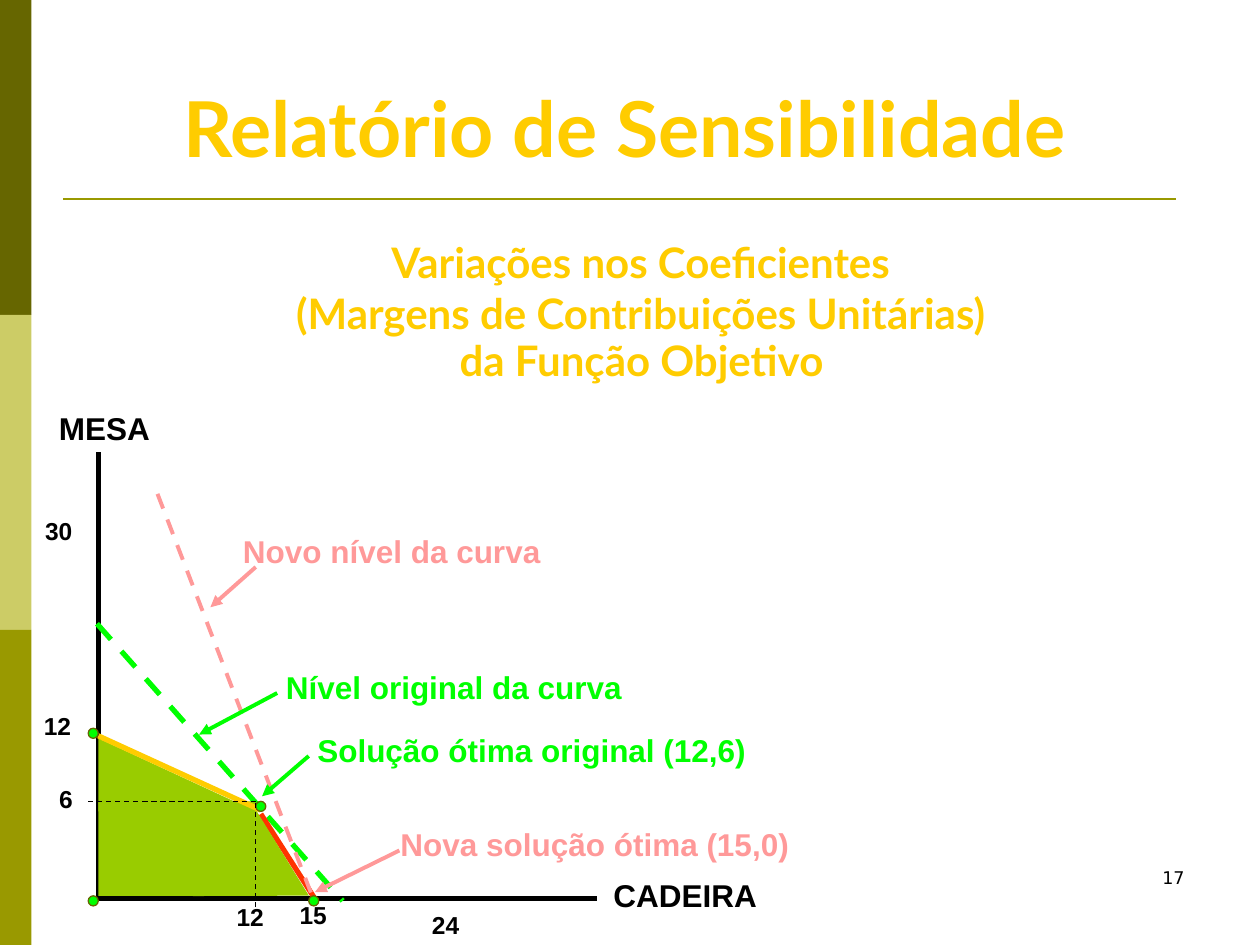
from lxml.etree import SubElement
from pptx import Presentation
from pptx.dml.color import RGBColor
from pptx.enum.dml import MSO_LINE
from pptx.enum.shapes import MSO_CONNECTOR, MSO_SHAPE
from pptx.enum.text import MSO_ANCHOR, MSO_AUTO_SIZE, PP_ALIGN
from pptx.oxml.ns import qn
from pptx.util import Inches, Pt

CELL = Inches(0.1)  # the slide is a grid of 100 columns by 75 rows
COLUMNS, ROWS = 100, 75

GOLD = RGBColor(0xFF, 0xCC, 0x00)
BLACK = RGBColor(0x00, 0x00, 0x00)
GREEN = RGBColor(0x00, 0xFF, 0x00)
PINK = RGBColor(0xFF, 0x99, 0x99)
RED = RGBColor(0xFF, 0x33, 0x00)
REGION = RGBColor(0x99, 0xCC, 0x00)
DARK_OLIVE = RGBColor(0x66, 0x66, 0x00)
PALE_OLIVE = RGBColor(0xCC, 0xCC, 0x66)
OLIVE = RGBColor(0x99, 0x99, 0x00)

AXIS_X, AXIS_Y = 7.8, 71.3
OPTIMUM_X, OPTIMUM_Y = 20.3, 63.6


def grid(*cells):
    return [round(CELL * cell) for cell in cells]


def set_format(target, values):
    for name, value in values.items():
        setattr(target, name, value)


def write_run(paragraph, text, size, color, font="Arial", bold=True):
    run = paragraph.add_run()
    run.text = text
    set_format(run.font, {"name": font, "size": Pt(size), "bold": bold})
    run.font.color.rgb = color


def add_label(slide, text, left, top, width, size, color):
    height = 4 if size == 18 else 3.4
    frame = slide.shapes.add_textbox(*grid(left, top, width, height)).text_frame
    set_format(frame, {"word_wrap": False,
                       "auto_size": MSO_AUTO_SIZE.SHAPE_TO_FIT_TEXT})
    write_run(frame.paragraphs[0], text, size, color)


def add_area(slide, preset, left, top, width, height, fill, outline=None):
    area = slide.shapes.add_shape(preset, *grid(left, top, width, height))
    area.shadow.inherit = False
    area.fill.solid()
    area.fill.fore_color.rgb = fill
    if outline is None:
        area.line.fill.background()
    else:
        area.line.color.rgb = outline
        area.line.width = Pt(0.75)
    return area


def add_segment(slide, start, end, color, width, dashed=False, arrow=False):
    segment = slide.shapes.add_connector(
        MSO_CONNECTOR.STRAIGHT, *grid(*start, *end))
    segment.line.color.rgb = color
    segment.line.width = Pt(width)
    if dashed:
        segment.line.dash_style = MSO_LINE.DASH
    if arrow:
        SubElement(segment.line._get_or_add_ln(), qn("a:tailEnd"), type="triangle")
    SubElement(segment._element.spPr, qn("a:effectLst"))


def add_background(slide):
    band = ROWS / 3
    for index, color in enumerate((DARK_OLIVE, PALE_OLIVE, OLIVE)):
        add_area(slide, MSO_SHAPE.RECTANGLE, 0, index * band, 2.5, band, color)
    add_segment(slide, (5, 15.8), (93.3, 15.8), OLIVE, 1.5)


def add_headings(slide):
    title = slide.shapes.title
    set_format(title, dict(zip(("left", "top", "width", "height"),
                               grid(2.5, 5, 94.2, 9.2))))
    set_format(title.text_frame, {"vertical_anchor": MSO_ANCHOR.BOTTOM,
                                  "word_wrap": True,
                                  "auto_size": MSO_AUTO_SIZE.NONE})
    heading = title.text_frame.paragraphs[0]
    heading.alignment = PP_ALIGN.CENTER
    write_run(heading, "Relatório de Sensibilidade", 44, GOLD, "Lato")

    frame = slide.shapes.add_textbox(*grid(2.5, 20, 97.5, 14.2)).text_frame
    frame.word_wrap = True
    subtitle = (("Variações nos Coeficientes ", 15),
                ("(Margens de Contribuições Unitárias) ", 15),
                ("da Função Objetivo", 12.5))
    for index, (text, space) in enumerate(subtitle):
        line = frame.add_paragraph() if index else frame.paragraphs[0]
        set_format(line, {"alignment": PP_ALIGN.CENTER, "line_spacing": 0.5,
                          "space_before": Pt(space)})
        indent = Inches(0.32)
        properties = line._p.get_or_add_pPr()
        properties.set("marL", str(indent))
        properties.set("indent", str(-indent))
        write_run(line, text, 24, GOLD, "Lato")
    write_run(line, " ", 20, BLACK, "Lato")


def add_axes(slide):
    add_segment(slide, (AXIS_X, AXIS_Y), (47.4, AXIS_Y), BLACK, 3)
    add_segment(slide, (AXIS_X, 35.9), (AXIS_X, 71.5), BLACK, 3)
    for text, left, top in (
            ("15", 22.8, 70.9), ("12", 17.8, 71.1), ("24", 33.3, 71.7),
            ("12", 2.5, 55.9), ("30", 2.6, 40.5), ("6", 3.7, 61.7)):
        add_label(slide, text, left, top, 2.4 + 1.1 * len(text), 14, BLACK)
    add_label(slide, "CADEIRA", 47.7, 69, 13.8, 18, BLACK)
    add_label(slide, "MESA", 3.7, 32, 9.6, 18, BLACK)


def add_feasible_region(slide):
    add_segment(slide, (7.7, 49.5), (27.2, 71.5), GREEN, 3, dashed=True)
    add_segment(slide, (20.7, 64.6), (25.1, 71.5), RED, 3)
    width = OPTIMUM_X - AXIS_X
    slope = add_area(slide, MSO_SHAPE.ISOSCELES_TRIANGLE,
                     15.3, OPTIMUM_Y, 9.2, 7.5, REGION)
    slope.rotation = 359.8
    add_area(slide, MSO_SHAPE.RECTANGLE, AXIS_X, OPTIMUM_Y, width, 7.5, REGION)
    add_area(slide, MSO_SHAPE.RIGHT_TRIANGLE, AXIS_X, 58.6, width, 5.8, REGION)
    add_segment(slide, (AXIS_X, 58.4), (20.7, 64.3), GOLD, 3)
    for left, top in ((7, 71.1), (7, 57.8), (24.5, 71.1), (OPTIMUM_X, OPTIMUM_Y)):
        add_area(slide, MSO_SHAPE.OVAL, left, top, 0.8, 0.8, GREEN, DARK_OLIVE)
    for end in ((7, OPTIMUM_Y), (OPTIMUM_X, 72)):
        add_segment(slide, end, (OPTIMUM_X, OPTIMUM_Y), BLACK, 0.75, dashed=True)
    add_segment(slide, (12.5, 39.2), (25, 71.7), PINK, 2.25, dashed=True)


def add_callouts(slide):
    for text, left, top, width, color, start, tip in (
            ("Solução ótima original (12,6)", 24.2, 57.5, 36.5, GREEN,
             (24.5, 60), (20.8, 63.2)),
            ("Nova solução ótima (15,0)", 30.8, 65, 33.5, PINK,
             (31.7, 67.5), (25, 70.8)),
            ("Nível original da curva", 21.7, 52.5, 29.2, GREEN,
             (22, 55), (15.8, 58.3)),
            ("Novo nível da curva", 18.3, 41.7, 26.1, PINK,
             (20.3, 45), (16.7, 48.2))):
        add_label(slide, text, left, top, width, 18, color)
        add_segment(slide, start, tip, color, 2.25, arrow=True)


def add_page_number(slide):
    frame = slide.shapes.add_textbox(*grid(71.7, 68.3, 23.3, 5)).text_frame
    frame.word_wrap = True
    number = frame.paragraphs[0]
    number.alignment = PP_ALIGN.RIGHT
    write_run(number, "17", 10, BLACK, "DejaVu Sans", bold=False)


def main():
    deck = Presentation()
    set_format(deck, {"slide_width": CELL * COLUMNS, "slide_height": CELL * ROWS})
    slide = deck.slides.add_slide(deck.slide_layouts[5])
    for add_part in (add_background, add_headings, add_axes,
                     add_feasible_region, add_callouts, add_page_number):
        add_part(slide)
    deck.save("out.pptx")


if __name__ == "__main__":
    main()
